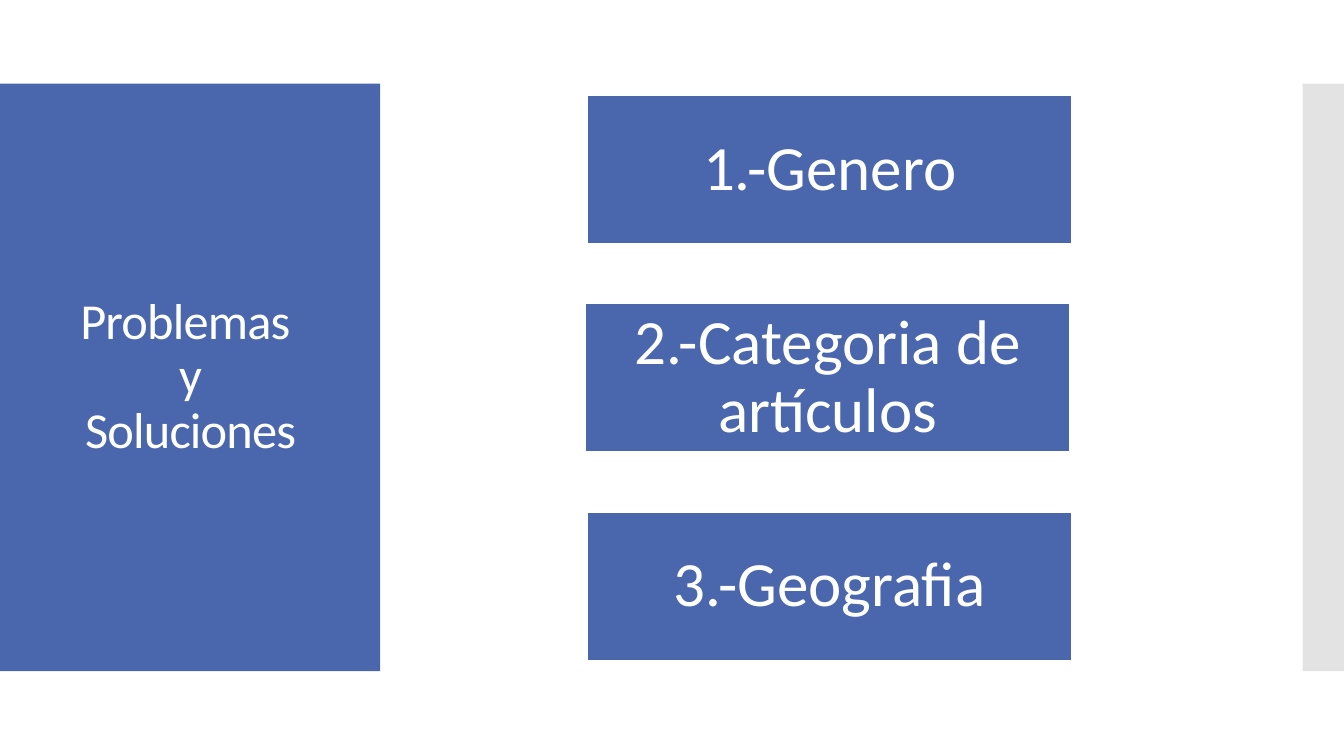
from lxml.etree import SubElement
from pptx import Presentation
from pptx.dml.color import RGBColor
from pptx.enum.shapes import MSO_SHAPE
from pptx.enum.text import MSO_ANCHOR, PP_ALIGN
from pptx.oxml.ns import qn
from pptx.util import Inches, Pt

TITLE = "Problemas \vy\vSoluciones"
CARDS = [("1.-Genero", 5.83), ("2.-Categoria de artículos", 5.81), ("3.-Geografia", 5.83)]
BLUE, WHITE, GRAY = "4A66AC", "FFFFFF", "C8C8C8"
TOP, TALL = 0.83, 5.83
CARD_TOP, CARD_STEP = 0.95, 2.065
CARD_WIDE, CARD_TALL = 4.8, 1.47


def paint(color, code):
    color.rgb = RGBColor.from_string(code)


def add_rect(slide, left, top, wide, tall, code):
    rect = slide.shapes.add_shape(
        MSO_SHAPE.RECTANGLE, Inches(left), Inches(top), Inches(wide), Inches(tall))
    rect.shadow.inherit = False
    rect.fill.solid()
    paint(rect.fill.fore_color, code)
    rect.line.fill.background()
    return rect


def set_text(shape, text, size, inset):
    frame = shape.text_frame
    frame.text = text
    frame.word_wrap = True
    frame.vertical_anchor = MSO_ANCHOR.MIDDLE
    frame.margin_left = frame.margin_right = Inches(inset)
    frame.margin_top = frame.margin_bottom = Inches(min(inset, 0.05))
    line = frame.paragraphs[0]
    line.alignment = PP_ALIGN.CENTER
    line.line_spacing = 0.9
    for run in line.runs:
        run.font.name = "Calibri"
        run.font.size = Pt(size)
        paint(run.font.color, WHITE)
    return line.runs


def main():
    deck = Presentation()
    deck.slide_width, deck.slide_height = Inches(13.33), Inches(7.5)
    slide = deck.slides.add_slide(deck.slide_layouts[5])

    add_rect(slide, 0, TOP, 3.77, TALL, BLUE)
    title = slide.shapes.title
    title.left, title.top = Inches(0.28), Inches(1.23)
    title.width, title.height = Inches(3.22), Inches(5.03)
    for run in set_text(title, TITLE, 36, 0.1):
        run.font._element.set("spc", "-60")
    slide.shapes._spTree.append(title._element)

    strip = add_rect(slide, 12.92, TOP, 0.41, TALL, GRAY)
    tint = strip._element.spPr.find(qn("a:solidFill"))[0]
    SubElement(tint, qn("a:alpha"), val="50000")

    for row, (text, left) in enumerate(CARDS):
        top = CARD_TOP + row * CARD_STEP
        card = add_rect(slide, left, top, CARD_WIDE, CARD_TALL, BLUE)
        paint(card.line.color, WHITE)
        card.line.width = Pt(0.85)
        set_text(card, text, 45, 0.03)

    deck.save("out.pptx")


if __name__ == "__main__":
    main()
